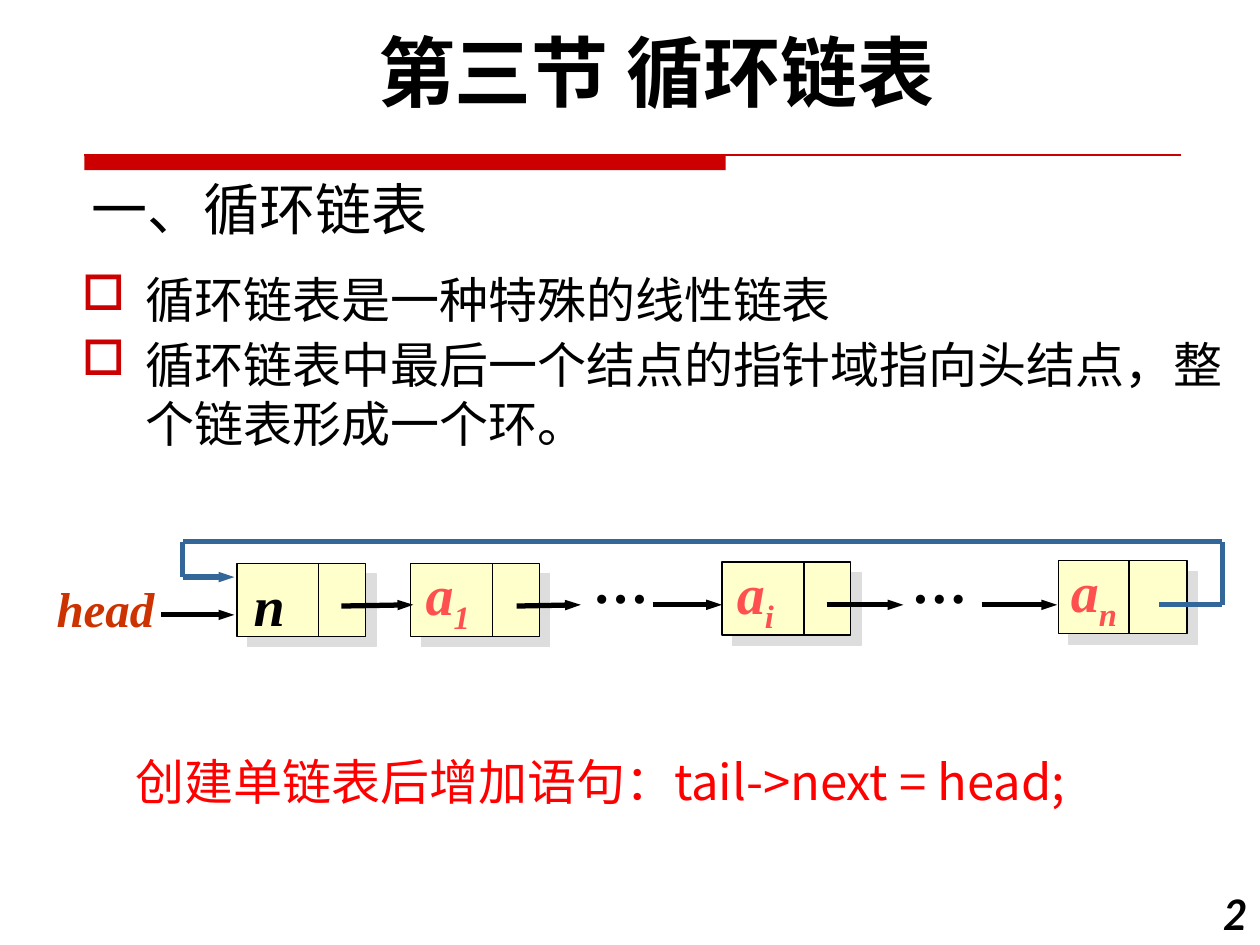
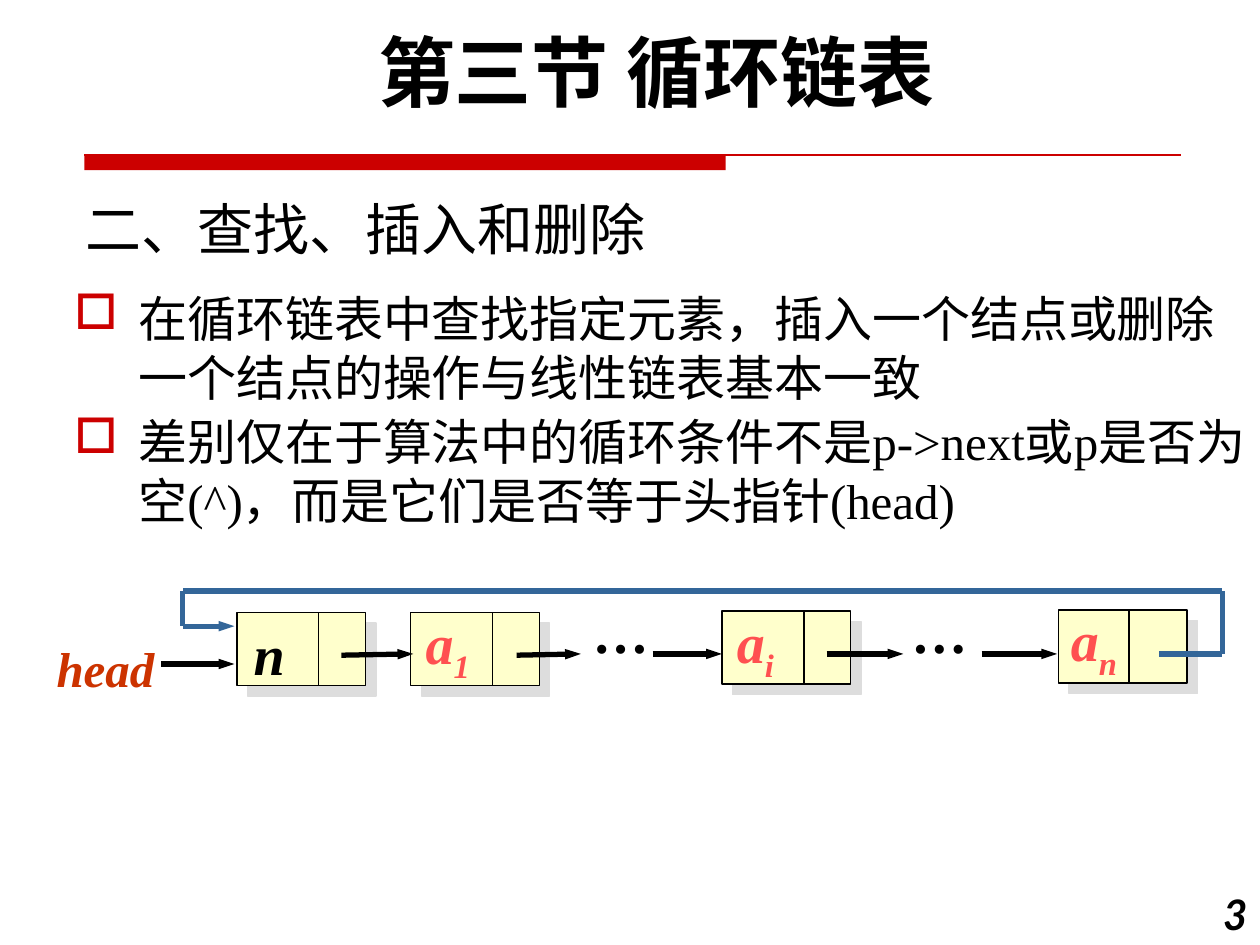
from lxml import etree
from pptx import Presentation, util as u
from pptx.dml.color import RGBColor
from pptx.enum import shapes, text
from pptx.oxml.ns import qn

W, H = 10, 7.5
BLACK, RED, BRIGHT, CORAL = "000000", "CC0000", "FF0000", "FF5050"
RUST, CREAM, BLUE, GREY = "CC3300", "FFFFCC", "336699", "DDDDDD"
CJK, SERIF, SANS = "Noto Sans CJK SC", "Times New Roman", "Lato"
LEFT, CENTER, RIGHT = text.PP_ALIGN.LEFT, text.PP_ALIGN.CENTER, text.PP_ALIGN.RIGHT

SECTION = "第三节 循环链表"
SLIDES = [
    dict(number="2", title="一、循环链表", title_at=(0.63, 1.17), body_at=(0.55, 2.09),
         bullets=["循环链表是一种特殊的线性链表",
                  "循环链表中最后一个结点的指针域指向头结点，整个链表形成一个环。"],
         ring_top=4.3, head_drop=0.24,
         note="创建单链表后增加语句：tail->next = head;"),
    dict(number="3", title="二、查找、插入和删除", title_at=(0.58, 1.33), body_at=(0.49, 2.24),
         bullets=["在循环链表中查找指定元素，插入一个结点或删除一个结点的操作与线性链表基本一致",
                  "差别仅在于算法中的循环条件不是p->next或p是否为空(^)，而是它们是否等于头指针(head)"],
         ring_top=4.69, head_drop=0.33, note=None),
]

NODE_W, NODE_H = 1.02, 0.58
NODES = [(1.88, 0.17, 0.65), (3.26, 0.17, 0.65), (5.73, 0.16, 0.65), (8.4, 0.15, 0.56)]
ELEMENTS = [(3.28, 0.09, 0.57, "1"), (5.75, 0.08, 0.51, "i"), (8.4, 0.07, 0.59, "n")]
LINKS = [(1.28, 0.58, 1.86, 0.58), (2.71, 0.51, 3.28, 0.5), (4.1, 0.51, 4.61, 0.5),
         (5.18, 0.5, 5.73, 0.5), (6.56, 0.5, 7.17, 0.5), (7.79, 0.5, 8.39, 0.5)]
DOTS = [4.62, 7.15]
RING = [(9.2, 0.5), (9.7, 0.5), (9.7, 0), (1.45, 0), (1.45, 0.28), (1.86, 0.28)]


def rgb(color):
    return RGBColor.from_string(color)


def add_xml(parent, tag, **attrs):
    return etree.SubElement(parent, qn(tag), attrs)


def add_run(p, words, size, color, font, bold=False, italic=False, sub=False):
    r = p.add_run()
    r.text = words
    f = r.font
    f.size, f.name, f.bold, f.italic = u.Pt(size), font, bold, italic
    f.color.rgb = rgb(color)
    rpr = r._r.get_or_add_rPr()
    add_xml(rpr, "a:ea", typeface=CJK)
    if sub:
        rpr.set("baseline", "-25000")


def add_box(where, x, y, w, h, wrap=True, align=LEFT):
    sp = where.add_textbox(*map(u.Inches, (x, y, w, h)))
    tf = sp.text_frame
    tf.word_wrap = wrap
    tf.auto_size = text.MSO_AUTO_SIZE.NONE if wrap else text.MSO_AUTO_SIZE.SHAPE_TO_FIT_TEXT
    p = tf.paragraphs[0]
    p.alignment = align
    return tf, p


def add_rect(where, x, y, w, h, color, line=None):
    sp = where.add_shape(shapes.MSO_SHAPE.RECTANGLE, *map(u.Inches, (x, y, w, h)))
    sp.shadow.inherit = False
    sp.fill.solid()
    sp.fill.fore_color.rgb = rgb(color)
    if line:
        sp.line.color.rgb = rgb(line)
        sp.line.width = u.Pt(0.75)
    else:
        sp.line.fill.background()
    return sp


def add_line(where, x1, y1, x2, y2, color=BLACK, width=0.75, arrow=False):
    c = where.add_connector(shapes.MSO_CONNECTOR.STRAIGHT, *map(u.Inches, (x1, y1, x2, y2)))
    c.line.color.rgb = rgb(color)
    c.line.width = u.Pt(width)
    if arrow:
        add_xml(c.line._get_or_add_ln(), "a:tailEnd", type="triangle", w="sm", len="med")
    add_xml(c._element.spPr, "a:effectLst")


def add_node(where, x, y, divider):
    sp = add_rect(where, x, y, NODE_W, NODE_H, CREAM, BLACK)
    effects = sp._element.spPr.find(qn("a:effectLst"))
    shadow = add_xml(effects, "a:outerShdw", dist=str(u.Pt(8.5)), dir="2700000",
                     algn="ctr", rotWithShape="0")
    add_xml(shadow, "a:srgbClr", val=GREY)
    add_line(where, x + divider, y, x + divider, y + NODE_H)


def add_frame(s, number):
    add_rect(s.shapes, 0.67, 1.23, 5.09, 0.12, RED)
    add_line(s.shapes, 0.67, 1.23, 9.37, 1.23, RED)
    tf, p = add_box(s.shapes, 0.67, 0.17, 9.08, 0.83, align=CENTER)
    p.line_spacing = u.Pt(51)
    add_run(p, SECTION, 44, BLACK, SANS, bold=True)
    tf, p = add_box(s.shapes, W - 0.67, H - 0.5, 0.67, 0.5, align=RIGHT)
    add_run(p, number, 24, BLACK, SANS, bold=True, italic=True)


def add_title(s, words, x, y):
    tf, p = add_box(s.shapes, x, y, 6.25, 0.75)
    tf.vertical_anchor = text.MSO_ANCHOR.BOTTOM
    tf.margin_bottom = 0
    add_run(p, words, 32, BLACK, CJK)


def add_bullets(s, bullets, x, y):
    tf, p = add_box(s.shapes, x, y, 9.58, 4.25)
    for i, words in enumerate(bullets):
        p = tf.add_paragraph() if i else p
        p.line_spacing, p.space_before = u.Pt(33.6), u.Pt(3.4)
        ppr = p._p.get_or_add_pPr()
        ppr.set("marL", str(u.Inches(0.51)))
        ppr.set("indent", str(-u.Inches(0.51)))
        add_xml(add_xml(ppr, "a:buClr"), "a:srgbClr", val=RED)
        add_xml(ppr, "a:buChar", char="□")
        add_run(p, words, 28, BLACK, SERIF)


def add_ring(s, top, head_drop):
    g = s.shapes.add_group_shape().shapes
    for x, dy, divider in NODES:
        add_node(g, x, top + dy, divider)
    for x1, y1, x2, y2 in LINKS:
        add_line(g, x1, top + y1, x2, top + y2, width=3, arrow=True)
    tf, p = add_box(g, 1.88, top + 0.18, 0.48, 0.63, align=RIGHT)
    add_run(p, "n", 32, BLACK, SERIF, True, True)
    for x, dy, w, index in ELEMENTS:
        tf, p = add_box(g, x, top + dy, w, 0.63, wrap=False)
        add_run(p, "a", 32, CORAL, SERIF, True, True)
        add_run(p, index, 32, CORAL, SERIF, True, True, sub=True)
    tf, p = add_box(g, 0.35, top + head_drop, 0.99, 0.57, wrap=False)
    add_run(p, "head", 28, RUST, SERIF, True, True)
    for x in DOTS:
        tf, p = add_box(g, x, top, 0.55, 0.63)
        add_run(p, "…", 32, BLACK, SERIF, True, True)
    for (x1, y1), (x2, y2) in zip(RING, RING[1:]):
        add_line(g, x1, top + y1, x2, top + y2, BLUE, 3, arrow=(x2, y2) == RING[-1])


prs = Presentation()
prs.slide_width, prs.slide_height = u.Inches(W), u.Inches(H)
for page in SLIDES:
    s = prs.slides.add_slide(prs.slide_layouts[6])
    add_frame(s, page["number"])
    add_title(s, page["title"], *page["title_at"])
    add_bullets(s, page["bullets"], *page["body_at"])
    add_ring(s, page["ring_top"], page["head_drop"])
    if page["note"]:
        tf, p = add_box(s.shapes, 0.98, 5.88, 8.35, 0.57)
        p.line_spacing = u.Pt(36)
        add_run(p, page["note"], 28, BRIGHT, CJK)
prs.save("out.pptx")
